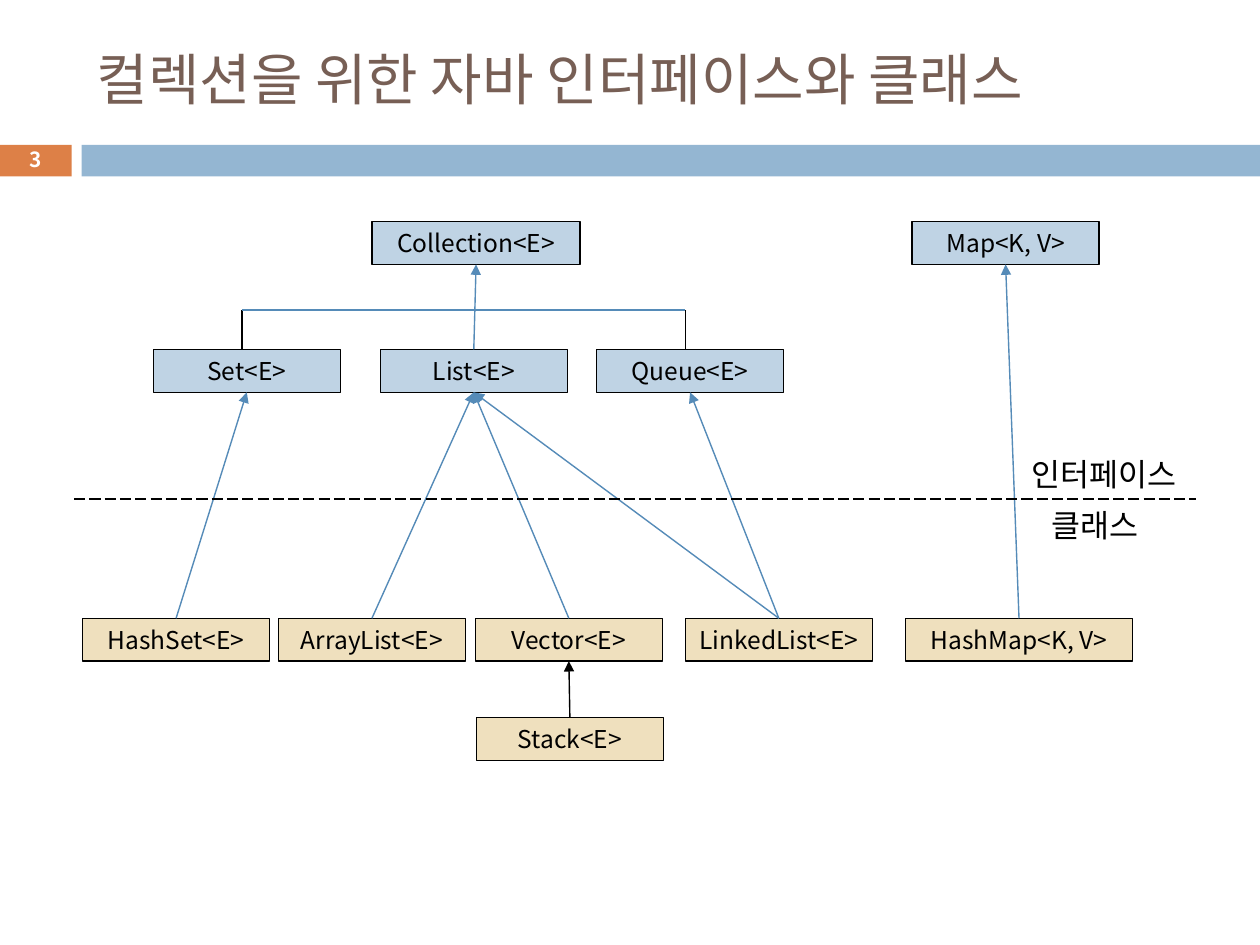
from lxml import etree
from pptx import Presentation
from pptx.dml.color import RGBColor
from pptx.enum import dml, shapes, text
from pptx.oxml.ns import qn
from pptx.util import Pt

FONT = "Noto Sans CJK KR"
BLACK, BLUE = "000000", "558BB8"
color = RGBColor.from_string


def add_box(place, words="", size=14, ink=BLACK, fill=None, outline=None, align="CENTER", inset=0):
    left, top, width, height = map(Pt, place)
    if fill:
        box = page.shapes.add_shape(shapes.MSO_SHAPE.RECTANGLE, left, top, width, height)
        box.shadow.inherit = False
        box.fill.solid()
        box.fill.fore_color.rgb = color(fill)
        if outline:
            box.line.color.rgb = color(outline)
            box.line.width = Pt(0.75)
        else:
            box.line.fill.background()
    else:
        box = page.shapes.add_textbox(left, top, width, height)
    if words:
        frame = box.text_frame
        frame.text = words
        frame.word_wrap = True
        frame.vertical_anchor = text.MSO_ANCHOR.MIDDLE
        frame.margin_left = frame.margin_right = Pt(inset)
        frame.margin_top = frame.margin_bottom = 0
        para = frame.paragraphs[0]
        para.alignment = text.PP_ALIGN[align]
        span = para.runs[0]
        span.font.size = Pt(size)
        span.font.color.rgb = color(ink)
        span.font.name = FONT
        properties = span._r.get_or_add_rPr()
        etree.SubElement(properties, qn("a:ea")).set("typeface", FONT)
    return box


def add_line(ends, ink, arrow=False):
    line = page.shapes.add_connector(shapes.MSO_CONNECTOR.STRAIGHT, *map(Pt, ends))
    line.line.color.rgb = color(ink)
    line.line.width = Pt(0.79)
    etree.SubElement(line._element.spPr, qn("a:effectLst"))
    if arrow:
        etree.SubElement(line.line._get_or_add_ln(), qn("a:headEnd")).set("type", "triangle")
    return line


deck = Presentation()
deck.slide_width, deck.slide_height = Pt(720), Pt(540)
page = deck.slides.add_slide(deck.slide_layouts[6])

# Title, slide number and band
add_box((0, 82.8, 41, 18), fill="DD8047")
add_box((46.6, 82.8, 673.4, 18), fill="94B6D2")
add_box((48.2, 18, 642.2, 53.3), "컬렉션을 위한 자바 인터페이스와 클래스", 32, "775F55",
        align="LEFT", inset=7.2)
number = add_box((-0.7, 81.4, 41.8, 19.4), "3", 11.9, "FFFFFF")
number.text_frame.paragraphs[0].runs[0].font.bold = True

# Interfaces and classes, one row per level: (name, left, width)
WIDTH, HEIGHT = 106.9, 24.5
INTERFACE, CLASS = "BFD3E4", "EFE0BE"
rows = [
    (126.6, INTERFACE, [("Collection<E>", 212.6, 118.9), ("Map<K, V>", 521.2, WIDTH)]),
    (199.7, INTERFACE, [("Set<E>", 87.6, WIDTH), ("List<E>", 217.3, WIDTH),
                        ("Queue<E>", 340.9, WIDTH)]),
    (353.3, CLASS, [("HashSet<E>", 47.2, WIDTH), ("ArrayList<E>", 159.1, WIDTH),
                    ("Vector<E>", 271.6, WIDTH), ("LinkedList<E>", 391.6, WIDTH),
                    ("HashMap<K, V>", 517.4, 129.8)]),
    (410, CLASS, [("Stack<E>", 272.2, WIDTH)]),
]
boxes = {}
for top, fill, members in rows:
    for name, left, width in members:
        boxes[name] = add_box((left, top, width, HEIGHT), name, fill=fill, outline=BLACK)

# Arrows from each type up to its parent
relations = [
    ("Collection<E>", "List<E>", BLUE),
    ("Set<E>", "HashSet<E>", BLUE),
    ("List<E>", "ArrayList<E>", BLUE),
    ("List<E>", "Vector<E>", BLUE),
    ("List<E>", "LinkedList<E>", BLUE),
    ("Queue<E>", "LinkedList<E>", BLUE),
    ("Map<K, V>", "HashMap<K, V>", BLUE),
    ("Vector<E>", "Stack<E>", BLACK),
]
for parent, child, ink in relations:
    arrow = add_line((0, 0, 0, 0), ink, arrow=True)
    arrow.begin_connect(boxes[parent], 2)
    arrow.end_connect(boxes[child], 0)

# Branch joining Set and Queue to Collection
for x in (138.4, 391.6):
    add_line((x, 199.7, x, 177.2), BLACK)
add_line((138.4, 177.2, 391.6, 177.2), BLUE)

# Boundary between interfaces and classes
boundary = add_line((42.4, 285.2, 683.4, 285.2), BLACK)
boundary.line.dash_style = dml.MSO_LINE.LONG_DASH
add_box((582.5, 256.3, 105.1, 28.8), "인터페이스", 18, align="LEFT", inset=7.2)
add_box((594, 285.8, 69.1, 28.8), "클래스", 18, align="LEFT", inset=7.2)

deck.save("out.pptx")
